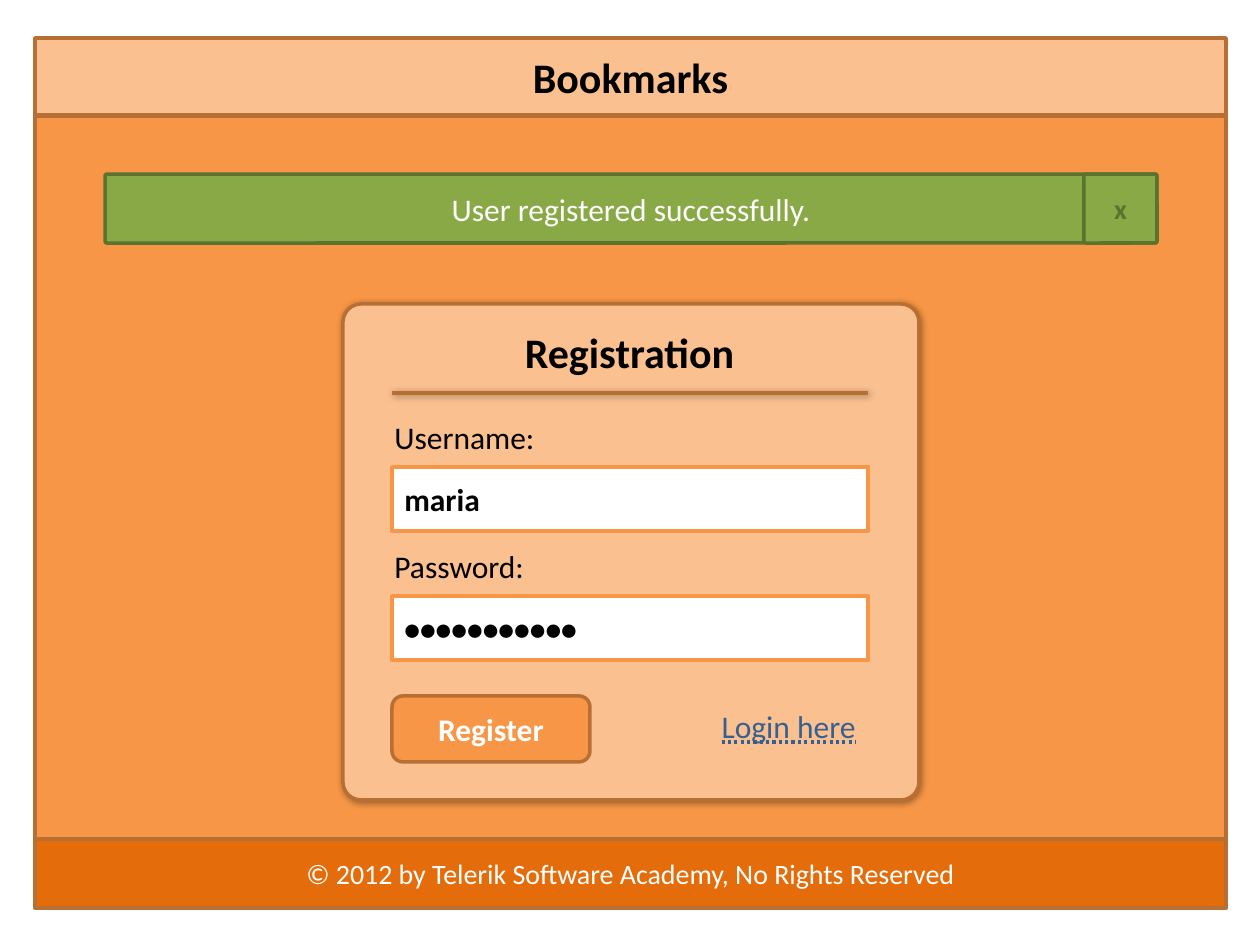
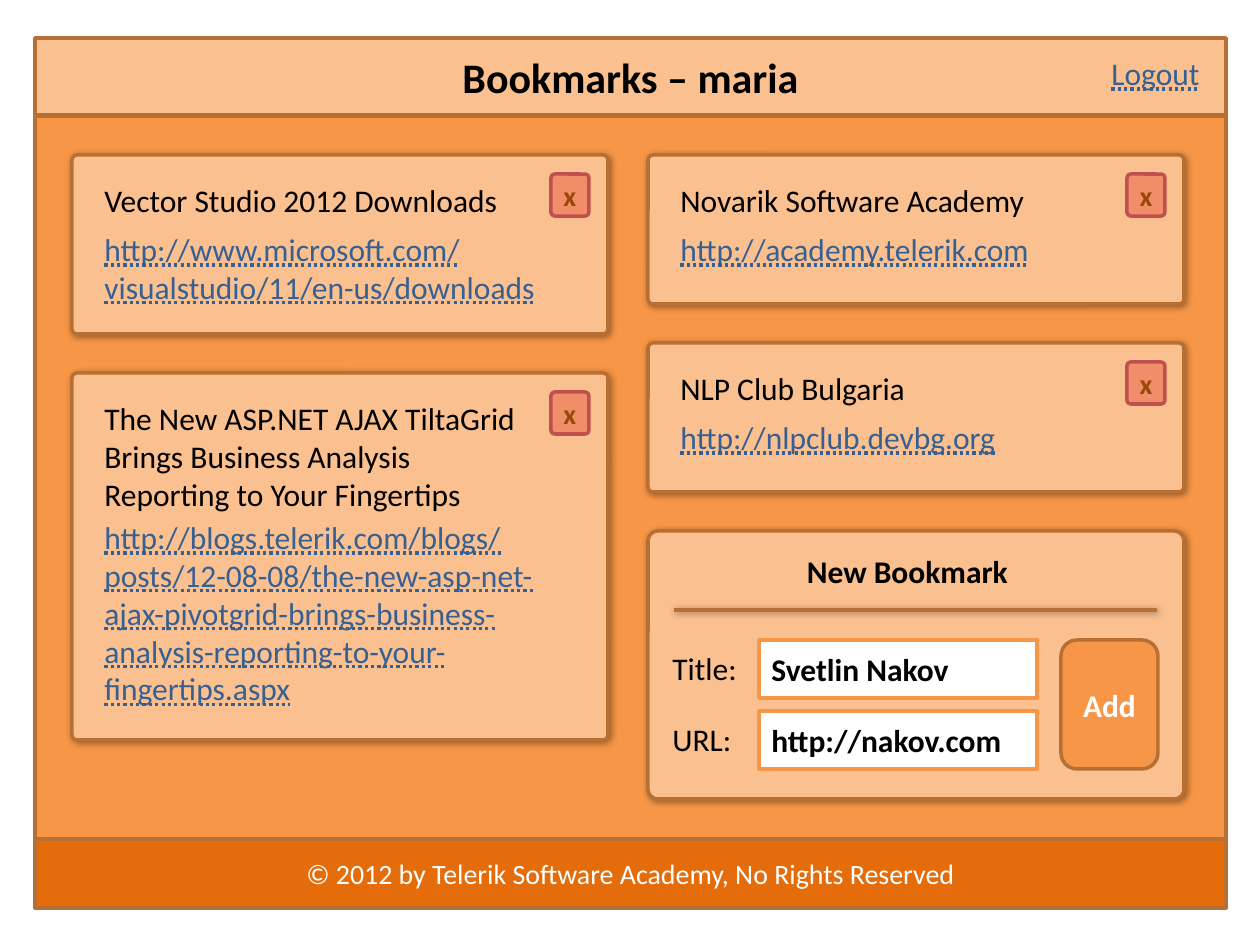
from typing import NamedTuple

from lxml.etree import SubElement
from pptx import Presentation
from pptx.dml.color import RGBColor
from pptx.enum.shapes import MSO_CONNECTOR, MSO_SHAPE
from pptx.enum.text import MSO_ANCHOR, MSO_AUTO_SIZE, MSO_UNDERLINE, PP_ALIGN
from pptx.oxml import parse_xml
from pptx.oxml.ns import nsdecls, qn
from pptx.util import Emu, Pt

EMU_PER_PX = 914400 / 126


class Theme:
    font = "Calibri"
    heading, body, small = 24, 18, 16
    line_width = 2
    black, white = "000000", "FFFFFF"
    page, panel, footer, edge = "F79646", "FAC090", "E46C0A", "B76F34"
    link = "376092"
    success, success_edge = "88A945", "5C732F"
    delete, delete_edge, delete_mark = "EC795A", "C0504D", "984807"


class Box(NamedTuple):
    left: int
    top: int
    width: int
    height: int

    def inner(self, dx, dy, width, height):
        return Box(self.left + dx, self.top + dy, width, height)

    def emu(self):
        return [px(side) for side in self]


HEADER = Box(35, 38, 1191, 77)
BODY = Box(35, 116, 1191, 724)
FOOTER = Box(35, 839, 1191, 69)
COPYRIGHT = "© 2012 by Telerik Software Academy, No Rights Reserved"

LEFT_COLUMN, RIGHT_COLUMN = 72, 648
COLUMN_TOP, COLUMN_WIDTH, CARD_GAP = 155, 536, 39
LINE_HEIGHT, TEXT_PADDING = 38, 12


def px(length):
    return Emu(round(length * EMU_PER_PX))


def rgb(colour):
    return RGBColor.from_string(colour)


def lines_height(count):
    return count * LINE_HEIGHT + TEXT_PADDING


def cast_shadow(effects):
    effects.append(parse_xml(
        f'<a:outerShdw {nsdecls("a")} blurRad="50800" dist="12700" '
        'dir="2700000" algn="tl" rotWithShape="0"><a:srgbClr val="000000">'
        '<a:alpha val="40000"/></a:srgbClr></a:outerShdw>'))


def paint(shape, fill, edge):
    shape.fill.solid()
    shape.fill.fore_color.rgb = rgb(fill)
    shape.line.color.rgb = rgb(edge)
    shape.line.width = Pt(Theme.line_width)


def write(shape, text, size=Theme.body, colour=Theme.black, bold=False,
          align=PP_ALIGN.LEFT, anchor=MSO_ANCHOR.MIDDLE):
    """Set the text of a shape and return its run."""
    frame = shape.text_frame
    frame.text = text
    frame.word_wrap = True
    frame.vertical_anchor = anchor
    paragraph = frame.paragraphs[0]
    paragraph.alignment = align
    run = paragraph.runs[0]
    run.font.name = Theme.font
    run.font.size = Pt(size)
    run.font.bold = bold
    run.font.color.rgb = rgb(colour)
    return run


def add_panel(shapes, box, fill, edge, radius=0, shadow=False):
    kind = MSO_SHAPE.ROUNDED_RECTANGLE if radius else MSO_SHAPE.RECTANGLE
    panel = shapes.add_shape(kind, *box.emu())
    if radius:
        panel.adjustments[0] = radius / min(box.width, box.height)
    paint(panel, fill, edge)
    panel.shadow.inherit = False
    if shadow:
        cast_shadow(panel._element.spPr.find(qn("a:effectLst")))
    return panel


def add_label(shapes, box, text, **style):
    label = shapes.add_textbox(*box.emu())
    run = write(label, text, anchor=MSO_ANCHOR.TOP, **style)
    label.text_frame.auto_size = MSO_AUTO_SIZE.SHAPE_TO_FIT_TEXT
    return run


def add_link(shapes, box, text, align=PP_ALIGN.RIGHT):
    run = add_label(shapes, box, text, colour=Theme.link, align=align)
    run.font.underline = MSO_UNDERLINE.DOTTED_LINE


def add_rule(shapes, box):
    """Draw a shadowed line along the top of the box."""
    left, top, width, _ = box.emu()
    rule = shapes.add_connector(
        MSO_CONNECTOR.STRAIGHT, left, top, left + width, top)
    rule.line.color.rgb = rgb(Theme.edge)
    rule.line.width = Pt(Theme.line_width)
    cast_shadow(SubElement(rule._element.spPr, qn("a:effectLst")))


def add_input(shapes, box, value):
    write(add_panel(shapes, box, Theme.white, Theme.page), value, bold=True)


def add_button(shapes, box, caption, radius):
    button = add_panel(shapes, box, Theme.page, Theme.edge, radius)
    write(button, caption, colour=Theme.white, bold=True,
          align=PP_ALIGN.CENTER)


def add_close_mark(button, colour, outline):
    run = write(button, "x", Theme.small, colour, True, PP_ALIGN.CENTER)
    run.font._element.insert(0, parse_xml(
        f'<a:ln {nsdecls("a")} w="9525"><a:solidFill>'
        f'<a:srgbClr val="{outline}"/></a:solidFill></a:ln>'))


def add_page(deck, title):
    """Add a slide with the header, body and footer of the application."""
    slide = deck.slides.add_slide(deck.slide_layouts.get_by_name("Title Only"))
    add_panel(slide.shapes, BODY, Theme.page, Theme.edge)
    header = slide.shapes.title
    header.left, header.top, header.width, header.height = HEADER.emu()
    paint(header, Theme.panel, Theme.edge)
    write(header, title, Theme.heading, bold=True, align=PP_ALIGN.CENTER)
    header.text_frame.auto_size = MSO_AUTO_SIZE.NONE
    footer = add_panel(slide.shapes, FOOTER, Theme.footer, Theme.edge)
    write(footer, COPYRIGHT, Theme.small, Theme.white, align=PP_ALIGN.CENTER)
    return slide.shapes


def add_alert(shapes, box, message):
    colours = Theme.success, Theme.success_edge
    bar = add_panel(shapes, box, *colours, radius=2)
    write(bar, message, colour=Theme.white, align=PP_ALIGN.CENTER)
    close_width = 73
    close = box.inner(box.width - close_width, 0, close_width, box.height)
    add_close_mark(add_panel(shapes, close, *colours, radius=2),
                   Theme.success_edge, Theme.success_edge)


def add_registration(shapes, box):
    margin, field_width = 49, 476
    add_panel(shapes, box, Theme.panel, Theme.edge, radius=18, shadow=True)
    add_rule(shapes, box.inner(margin, 89, field_width, 0))
    add_label(shapes, box.inner(29, 16, 515, 63), "Registration",
              size=Theme.heading, bold=True, align=PP_ALIGN.CENTER)
    fields = [("Username:", "maria"), ("Password:", "•" * 11)]
    for row, (name, value) in enumerate(fields):
        top = 108 + row * 129
        add_label(shapes, box.inner(39, top, field_width, lines_height(1)),
                  name)
        add_input(shapes, box.inner(margin, top + 55, field_width, 64), value)
    add_button(shapes, box.inner(margin, 392, 198, 66), "Register", radius=11)
    add_link(shapes, box.inner(267, 397, 258, lines_height(1)), "Login here")


def add_bookmark(shapes, box, title, title_lines, url, url_lines, url_top):
    card = shapes.add_group_shape().shapes
    add_panel(card, box, Theme.panel, Theme.edge, radius=5, shadow=True)
    add_label(card, box.inner(20, 20, 456, lines_height(title_lines)), title)
    add_link(card, box.inner(20, url_top, 456, lines_height(url_lines)), url,
             PP_ALIGN.LEFT)
    delete = add_panel(card, box.inner(479, 19, 38, 42), Theme.delete,
                       Theme.delete_edge, radius=4)
    tint = delete._element.spPr.find(qn("a:solidFill"))[0]
    SubElement(tint, qn("a:alpha"), val="70000")
    frame = delete.text_frame
    frame.margin_left = frame.margin_right = 0
    frame.margin_top = frame.margin_bottom = 0
    add_close_mark(delete, Theme.delete_mark, Theme.delete_edge)


def add_new_bookmark(shapes, box):
    add_panel(shapes, box, Theme.panel, Theme.edge, radius=10, shadow=True)
    add_rule(shapes, box.inner(26, 79, 483, 0))
    add_label(shapes, box.inner(2, 15, 515, lines_height(1)), "New Bookmark",
              bold=True, align=PP_ALIGN.CENTER)
    fields = [("Title:", "Svetlin Nakov"), ("URL:", "http://nakov.com")]
    for row, (name, value) in enumerate(fields):
        top = 109 + row * 71
        add_input(shapes, box.inner(111, top, 278, 58), value)
        add_label(shapes, box.inner(12, top + 3, 99, lines_height(1)), name)
    add_button(shapes, box.inner(413, 109, 97, 129), "Add", radius=16)


def add_column(shapes, left, bookmarks):
    """Stack bookmark cards and return the top of the next free place."""
    top = COLUMN_TOP
    for height, *content in bookmarks:
        add_bookmark(shapes, Box(left, top, COLUMN_WIDTH, height), *content)
        top += height + CARD_GAP
    return top


def build_registration_page(deck):
    shapes = add_page(deck, "Bookmarks")
    add_registration(shapes, Box(343, 304, 576, 496))
    add_alert(shapes, Box(105, 174, 1052, 69), "User registered successfully.")


def build_bookmarks_page(deck):
    shapes = add_page(deck, "Bookmarks – maria")
    add_link(shapes, HEADER.inner(919, 10, 258, lines_height(1)), "Logout")
    add_column(shapes, LEFT_COLUMN, [
        (179, "Vector Studio 2012 Downloads", 1,
         "http://www.microsoft.com/visualstudio/11/en-us/downloads", 2, 69),
        (367, "The New ASP.NET AJAX TiltaGrid Brings Business Analysis "
         "Reporting to Your Fingertips", 3,
         "http://blogs.telerik.com/blogs/posts/12-08-08/the-new-asp-net-ajax-"
         "pivotgrid-brings-business-analysis-reporting-to-your-"
         "fingertips.aspx", 5, 139),
    ])
    form_top = add_column(shapes, RIGHT_COLUMN, [
        (149, "Novarik Software Academy", 1,
         "http://academy.telerik.com", 1, 69),
        (149, "NLP Club Bulgaria", 1, "http://nlpclub.devbg.org", 1, 69),
    ])
    add_new_bookmark(shapes, Box(RIGHT_COLUMN, form_top, COLUMN_WIDTH, 268))


def main():
    deck = Presentation()
    deck.slide_width, deck.slide_height = px(1260), px(945)
    build_registration_page(deck)
    build_bookmarks_page(deck)
    deck.save("out.pptx")


if __name__ == "__main__":
    main()
